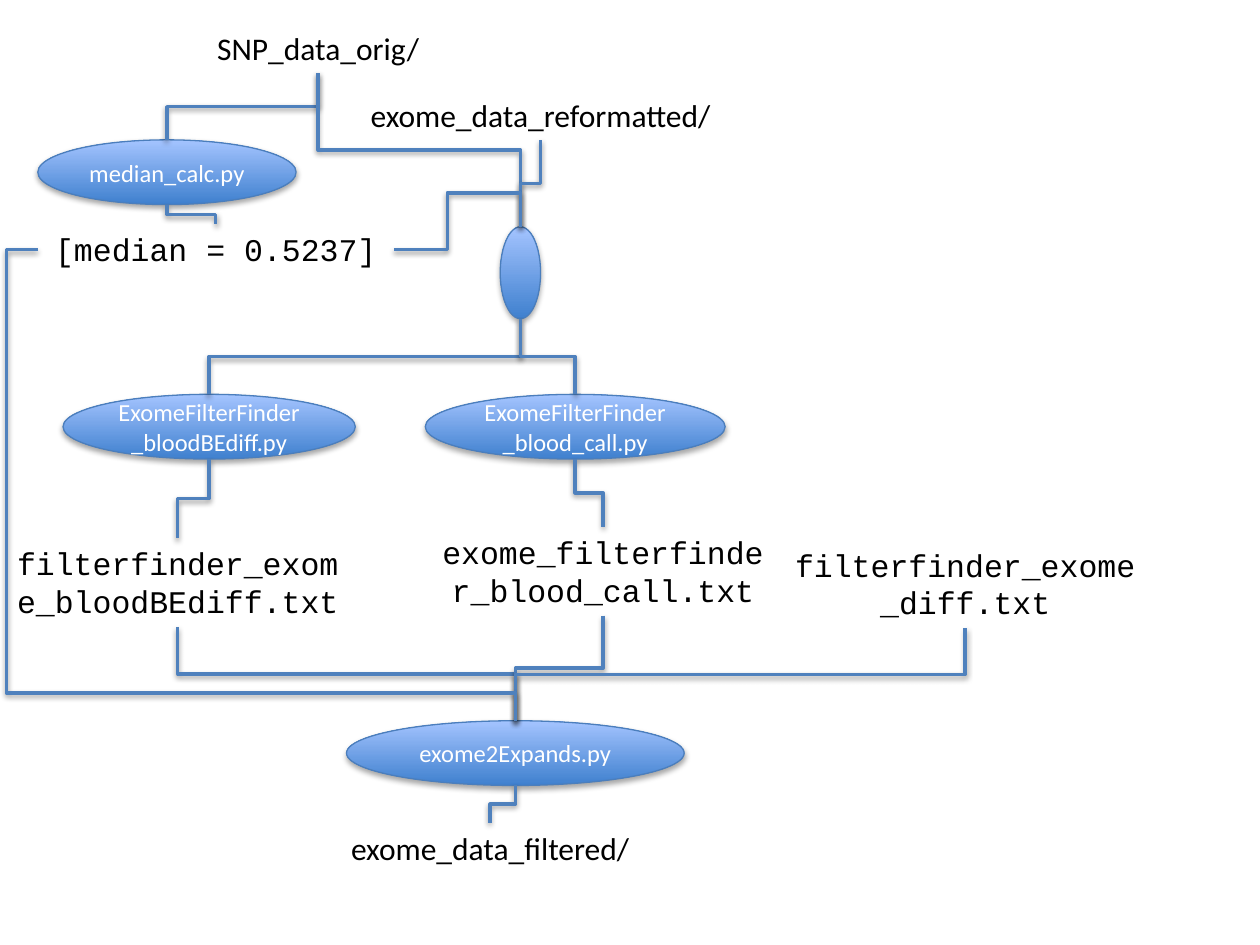
import pptx
import pptx.dml.color
import pptx.enum.shapes
import pptx.enum.text
import pptx.oxml
import pptx.util
from pptx.oxml.ns import nsdecls

THEME = {
    "sans": "Calibri", "mono": "Courier New",
    "data_size": 18, "script_size": 14,
    "ink": "000000", "script_ink": "FFFFFF",
    "bottom": "3F80CE", "top": "A4C4FF", "outline": "4B7EBC", "link": "4F81BD",
    "outline_width": 0.75, "link_width": 2,
}
SLIDE_W, SLIDE_H = 10, 7.5
LINE_1, LINE_2, OVAL = 5.38, 9.42, 6.85  # node heights

# Positions are percentages of the slide: left, top, width, height.
# name: (text, font, box)
DATA = {
    "snp": ("SNP_data_orig/", "sans", (15.9, 2.4, 18.7, LINE_1)),
    "reformatted": ("exome_data_reformatted/", "sans", (27.5, 9.47, 30.8, LINE_1)),
    "median": ("[median = 0.5237]", "mono", (3, 23.73, 28.25, LINE_1)),
    "be_diff": ("filterfinder_exome_bloodBEdiff.txt", "mono", (0, 56.93, 28.2, LINE_2)),
    "blood_call": ("exome_filterfinder_blood_call.txt", "mono", (33.75, 55.73, 28.2, LINE_2)),
    "diff": ("filterfinder_exome_diff.txt", "mono", (61.5, 57.07, 30.2, LINE_2)),
    "filtered": ("exome_data_filtered/", "sans", (23.5, 87.07, 30.8, LINE_1)),
}
SCRIPTS = {
    "median_calc": ("median_calc.py", (3, 14.8, 20.5, OVAL)),
    "join": ("", (39.7, 24, 3.2, 9.73)),
    "find_be_diff": ("ExomeFilterFinder_bloodBEdiff.py", (5, 41.73, 23.2, OVAL)),
    "find_blood_call": ("ExomeFilterFinder_blood_call.py", (33.75, 41.73, 23.8, OVAL)),
    "expands": ("exome2Expands.py", (27.5, 76.27, 26.8, OVAL)),
}
# Bottom of the first node to top of the second
LINKS = [
    ("snp", "median_calc"), ("median_calc", "median"), ("snp", "join"),
    ("reformatted", "join"), ("join", "find_be_diff"), ("join", "find_blood_call"),
    ("find_be_diff", "be_diff"), ("find_blood_call", "blood_call"),
    ("be_diff", "expands"), ("blood_call", "expands"), ("diff", "expands"),
    ("expands", "filtered"),
]
# Side of the first node, by a corner at (x, y), to top of the second
SIDE_LINKS = [
    ("median", "right", "join", (35.5, 20.4)),
    ("median", "left", "expands", (0.5, 73.33)),
]
BOXES = {name: node[-1] for name, node in (DATA | SCRIPTS).items()}


def emu(x, y):
    return (pptx.util.Inches(x * SLIDE_W / 100), pptx.util.Inches(y * SLIDE_H / 100))


def rgb(key):
    return pptx.dml.color.RGBColor.from_string(THEME[key])


def port(name, side):
    """Middle of one side of a node, in EMU."""
    x, y, w, h = BOXES[name]
    dx, dy = {"top": (0.5, 0), "bottom": (0.5, 1), "left": (0, 0.5), "right": (1, 0.5)}[side]
    return emu(x + w * dx, y + h * dy)


def add_shadow(s, distance, alpha):
    s._element.spPr.append(pptx.oxml.parse_xml(
        f'<a:effectLst {nsdecls("a")}><a:outerShdw blurRad="40000" dist="{distance}" '
        f'dir="5400000" rotWithShape="0"><a:srgbClr val="000000">'
        f'<a:alpha val="{alpha}000"/></a:srgbClr></a:outerShdw></a:effectLst>'))


def write(s, text, font, size, ink):
    tf = s.text_frame
    tf.word_wrap = True
    p = tf.paragraphs[0]
    p.text = text
    p.alignment = pptx.enum.text.PP_ALIGN.CENTER
    p.font.name = THEME[font]
    p.font.size = pptx.util.Pt(THEME[size])
    p.font.color.rgb = rgb(ink)
    return tf


def add_data(sp, text, font, box):
    s = sp.add_textbox(*emu(*box[:2]), *emu(*box[2:]))
    tf = write(s, text, font, "data_size", "ink")
    tf.auto_size = pptx.enum.text.MSO_AUTO_SIZE.SHAPE_TO_FIT_TEXT


def add_script(sp, text, box):
    s = sp.add_shape(pptx.enum.shapes.MSO_SHAPE.OVAL, *emu(*box[:2]), *emu(*box[2:]))
    s.fill.gradient()
    s.fill.gradient_angle = 90
    for stop, key, position in zip(s.fill.gradient_stops, ("bottom", "top"), (0, 1)):
        stop.color.rgb = rgb(key)
        stop.position = position
    s.line.color.rgb = rgb("outline")
    s.line.width = pptx.util.Pt(THEME["outline_width"])
    add_shadow(s, 23000, 35)
    if text:
        tf = write(s, text, "sans", "script_size", "script_ink")
        tf.vertical_anchor = pptx.enum.text.MSO_ANCHOR.MIDDLE


def add_elbow(sp, x1, y1, x2, y2):
    s = sp.add_connector(pptx.enum.shapes.MSO_CONNECTOR.ELBOW,
                         round(x1), round(y1), round(x2), round(y2))
    s.line.color.rgb = rgb("link")
    s.line.width = pptx.util.Pt(THEME["link_width"])
    add_shadow(s, 20000, 38)
    return s


def add_link(sp, start, end):
    """An elbow that leaves vertically: a horizontal one turned a quarter."""
    (x1, y1), (x2, y2) = port(start, "bottom"), port(end, "top")
    cx, cy, dx, dy = (x1 + x2) / 2, (y1 + y2) / 2, (x2 - x1) / 2, (y2 - y1) / 2
    s = add_elbow(sp, cx - dy, cy + dx, cx + dy, cy - dx)
    s._element.spPr.xfrm.set("rot", "5400000")


def add_side_link(sp, start, side, end, corner):
    (x1, y1), (x2, y2) = port(start, side), port(end, "top")
    cx, cy = emu(*corner)
    s = add_elbow(sp, x1, y1, x2, y2)
    geometry = s._element.spPr.prstGeom
    geometry.set("prst", "bentConnector4")
    shares = ((cx - x1) / (x2 - x1), (cy - y1) / (y2 - y1))
    guides = "".join(f'<a:gd name="adj{i}" fmla="val {round(share * 100000)}"/>'
                     for i, share in enumerate(shares, 1))
    for child in list(geometry):
        geometry.remove(child)
    geometry.append(pptx.oxml.parse_xml(f'<a:avLst {nsdecls("a")}>{guides}</a:avLst>'))


def main():
    prs = pptx.Presentation()
    prs.slide_width = pptx.util.Inches(SLIDE_W)
    prs.slide_height = pptx.util.Inches(SLIDE_H)
    sp = prs.slides.add_slide(prs.slide_layouts[6]).shapes
    for node in DATA.values():
        add_data(sp, *node)
    for node in SCRIPTS.values():
        add_script(sp, *node)
    for link in LINKS:
        add_link(sp, *link)
    for link in SIDE_LINKS:
        add_side_link(sp, *link)
    prs.save("out.pptx")


if __name__ == "__main__":
    main()
